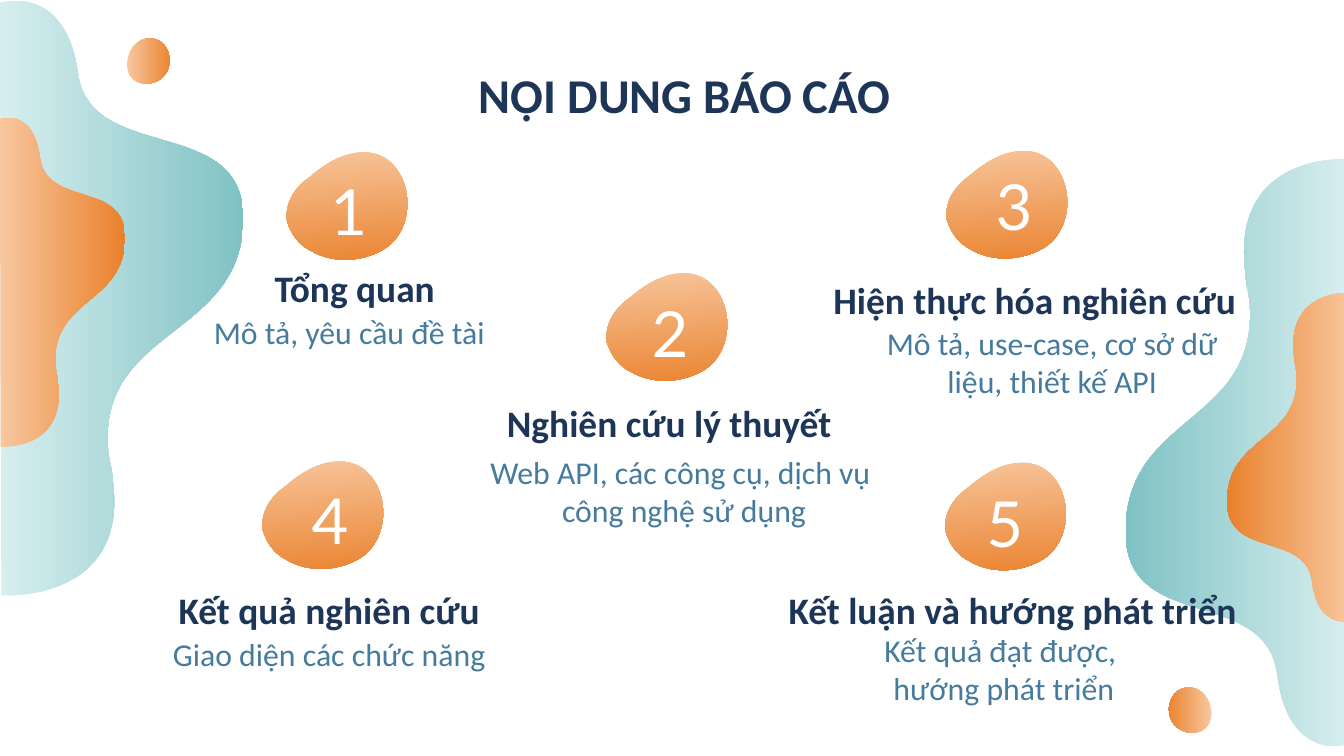
from lxml.etree import SubElement
from pptx import Presentation
from pptx.dml.color import RGBColor
from pptx.enum.text import MSO_ANCHOR as Anchor, MSO_AUTO_SIZE as AutoSize, PP_ALIGN as Align
from pptx.oxml.ns import qn
from pptx.util import Inches, Pt

NAVY = RGBColor(0x1D, 0x35, 0x57)
STEEL = RGBColor(0x45, 0x7B, 0x9D)
WHITE = RGBColor(0xFF, 0xFF, 0xFF)
TEAL = (RGBColor(0xD7, 0xEE, 0xEF), RGBColor(0x80, 0xC2, 0xC4))
ORANGE = (RGBColor(0xF8, 0xC7, 0x9F), RGBColor(0xE9, 0x81, 0x2C))

# Outlines before rotation, in hundredths of an inch:
# a start, an optional straight edge, then Bezier triples
WAVE = [(446, 0), (5, 1),
        (5, 1), (0, 85), (75, 85),
        (82, 85), (90, 84), (99, 83),
        (107, 81), (115, 80), (122, 80),
        (205, 80), (199, 181), (286, 181),
        (363, 181), (326, 68), (393, 58),
        (461, 49), (446, 0), (446, 0)]
DOT = [(38, 18),
       (37, 28), (25, 33), (16, 30),
       (0, 25), (0, 1), (18, 0),
       (28, 0), (39, 7), (38, 18)]
MIRRORED_DOT = [(39 - x, y) for x, y in DOT]
PEBBLE = [(1, 48),
          (3, 56), (7, 65), (17, 71),
          (33, 82), (54, 82), (70, 75),
          (104, 60), (98, 0), (59, 1),
          (45, 1), (32, 8), (21, 16),
          (7, 24), (0, 36), (1, 48)]

# Outline, colours, box, rotation
DECORATIONS = [
    (WAVE, TEAL, (-1.4, 1.27, 4.61, 1.81), 270),
    (WAVE, TEAL, (6.93, 2.58, 4.55, 1.66), 90),
    (WAVE, ORANGE, (8.32, 2.96, 2.55, 0.93), 90),
    (WAVE, ORANGE, (-0.81, 1.61, 2.55, 0.93), 270),
    (DOT, ORANGE, (0.92, 0.3, 0.39, 0.34), 270),
    (MIRRORED_DOT, ORANGE, (8.65, 5.13, 0.39, 0.34), 90),
]

# Number, pebble corner, number corner, heading and its box, details and their box
SECTIONS = [
    ("1", (2.12, 1.13), (1.91, 1.28), "Tổng quan", (1.26, 1.82, 2.76),
     ["Mô tả, yêu cầu đề tài"], (1.22, 2.23, 2.76)),
    ("2", (4.5, 2.03), (4.3, 2.19), "Nghiên cứu lý thuyết", (3.6, 2.83, 2.76),
     ["Web API, các công cụ, dịch vụ ", "công nghệ sử dụng"], (3.5, 3.27, 3.18)),
    ("3", (7.03, 1.12), (6.86, 1.24), "Hiện thực hóa nghiên cứu", (5.95, 1.91, 3.5),
     ["Mô tả, use-case, cơ sở dữ liệu, thiết kế API"], (6.45, 2.31, 2.76)),
    ("4", (1.94, 3.43), (1.77, 3.58), "Kết quả nghiên cứu", (1.07, 4.22, 2.76),
     ["Giao diện các chức năng"], (1.07, 4.62, 2.76)),
    ("5", (7.02, 3.44), (6.79, 3.6), "Kết luận và hướng phát triển", (5.66, 4.22, 3.75),
     ["Kết quả đạt được, ", "hướng phát triển"], (6.09, 4.59, 2.76)),
]


def place(shape, box):
    shape.left, shape.top, shape.width, shape.height = map(Inches, box)


def bend_edges(shape, curve_start):
    """Turn each three straight edges from curve_start on into one Bezier curve."""
    edges = list(shape.element.iter(qn("a:lnTo")))[curve_start:]
    for first in range(0, len(edges), 3):
        triple = edges[first:first + 3]
        curve = SubElement(triple[0].getparent(), qn("a:cubicBezTo"))
        triple[0].addprevious(curve)
        for edge in triple:
            curve.append(edge[0])
            edge.getparent().remove(edge)


def add_blob(slide, outline, colours, box, rotation):
    builder = slide.shapes.build_freeform(*outline[0], scale=Inches(0.01))
    builder.add_line_segments(outline[1:], close=True)
    blob = builder.convert_to_shape()
    bend_edges(blob, (len(outline) - 1) % 3)
    place(blob, box)
    blob.rotation = rotation
    blob.shadow.inherit = False
    blob.line.fill.background()
    blob.fill.gradient()
    blob.fill.gradient_angle = 270
    for stop, colour, position in zip(blob.fill.gradient_stops, colours, (0, 1)):
        stop.color.rgb = colour
        stop.position = position


def write(shape, lines, size, colour, font="Calibri", bold=False,
          anchor=Anchor.TOP, spacing=1.0):
    frame = shape.text_frame
    frame.text = "\n".join(lines)
    frame.word_wrap = True
    frame.auto_size = AutoSize.NONE
    frame.vertical_anchor = anchor
    frame.margin_left = frame.margin_right = Inches(0.1)
    frame.margin_top = frame.margin_bottom = Inches(0.1)
    for paragraph in frame.paragraphs:
        paragraph.alignment = Align.CENTER
        paragraph.line_spacing = spacing
        paragraph.space_before = Pt(0)
        paragraph.font.name = font
        paragraph.font.size = Pt(size)
        paragraph.font.bold = bold
        paragraph.font.color.rgb = colour


def add_text(slide, box, lines, size, colour, **style):
    write(slide.shapes.add_textbox(*map(Inches, box)), lines, size, colour, **style)


def add_section(slide, number, pebble, digit, heading, heading_box, details, details_box):
    add_blob(slide, PEBBLE, ORANGE, (*pebble, 1.03, 0.82), 355.6)
    add_text(slide, (*heading_box, 0.47), [heading], 20, NAVY, bold=True, spacing=1.15)
    add_text(slide, (*details_box, 0.73), details, 17, STEEL)
    add_text(slide, (*digit, 1.37, 0.57), [number], 34, WHITE,
             font="Lato", anchor=Anchor.MIDDLE)


def main():
    deck = Presentation()
    deck.slide_width = Inches(10)
    deck.slide_height = deck.slide_width * 9 // 16
    slide = deck.slides.add_slide(deck.slide_layouts[5])

    # Title
    title = slide.shapes.title
    place(title, (2.63, 0.38, 4.93, 0.54))
    write(title, ["NỘI DUNG BÁO CÁO"], 26, NAVY, bold=True)

    # Waves and dots along the edges
    for decoration in DECORATIONS:
        add_blob(slide, *decoration)

    # Numbered sections of the report
    for section in SECTIONS:
        add_section(slide, *section)

    deck.save("out.pptx")


if __name__ == "__main__":
    main()
